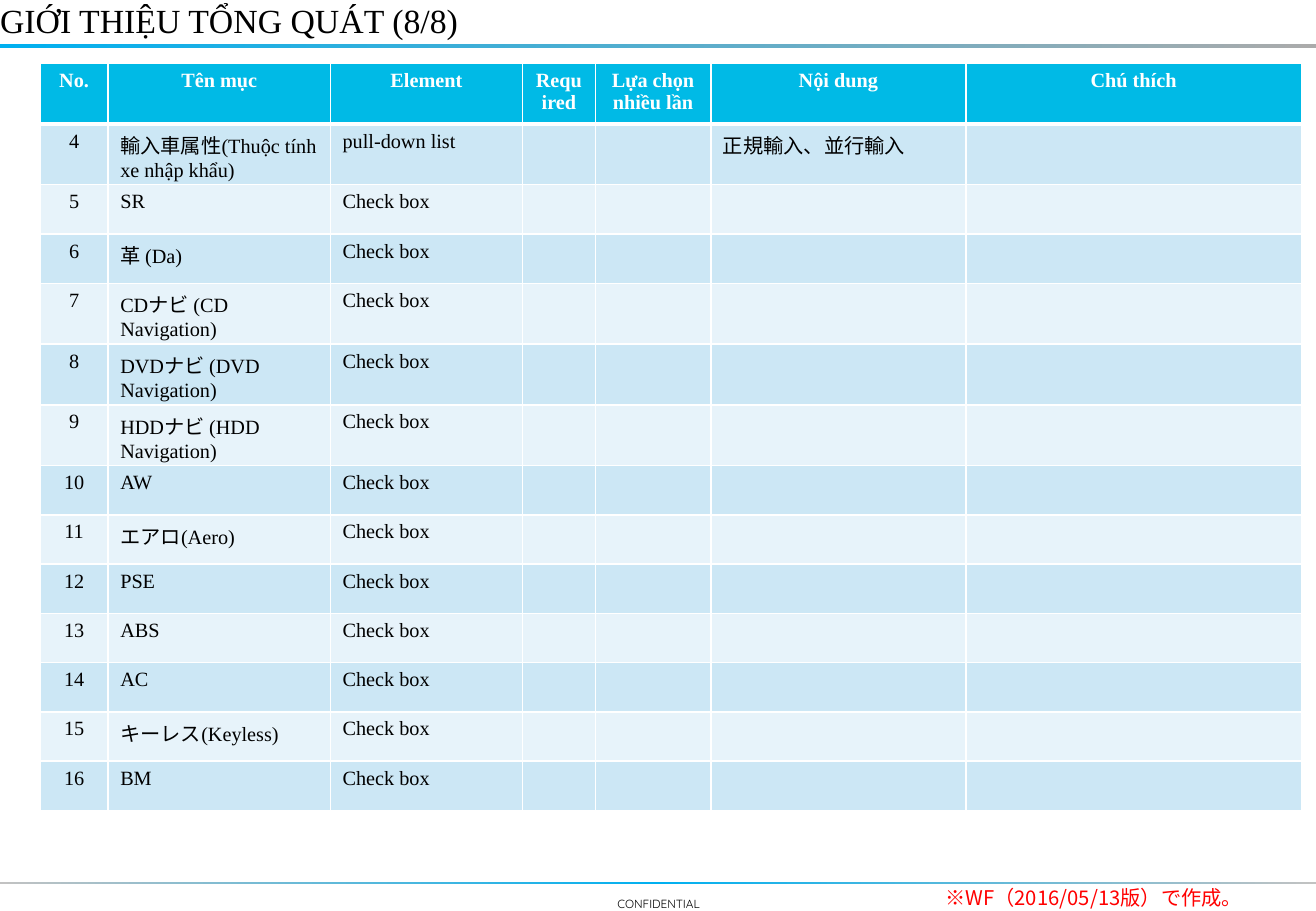
import copy
import pptx
import pptx.dml.color
import pptx.enum.shapes
import pptx.enum.text
import pptx.oxml
import pptx.oxml.ns
import pptx.util

COLUMNS, ROWS = 1083, 750
UNIT = pptx.util.Inches(0.01)
SERIF, SANS, ROUNDED = "Times New Roman", "Noto Sans CJK JP", "Quicksand"
ALIGN = pptx.enum.text.PP_ALIGN
ANCHOR = pptx.enum.text.MSO_ANCHOR

HEADINGS = ["No.", "Tên mục", "Element", "Required", "Lựa chọn nhiều lần", "Nội dung", "Chú thích"]
COLUMN_WIDTHS = [56, 183, 158, 60, 95, 210, 276]
ROW_HEIGHT = pptx.util.Pt(29.2)
FIRST_NUMBER = 4
ITEMS = [
    "輸入車属性(Thuộc tính xe nhập khẩu)", "SR", "革 (Da)", "CDナビ (CD Navigation)",
    "DVDナビ (DVD Navigation)", "HDDナビ (HDD Navigation)", "AW", "エアロ(Aero)",
    "PSE", "ABS", "AC", "キーレス(Keyless)", "BM",
]
IMPORT_ELEMENT, IMPORT_CONTENT = "pull-down list", "正規輸入、並行輸入"


def color(value):
    return pptx.dml.color.RGBColor.from_string(value)


def scale(box):
    return [int(length * UNIT) for length in box]


def format_text(frame, size, font, ink, bold=False, align=ALIGN.LEFT):
    for para in frame.paragraphs:
        para.alignment = align
        for span in para.runs:
            span.font.size = pptx.util.Pt(size)
            span.font.bold = bold
            span.font.color.rgb = color(ink)
            span.font.name = font
            east_asian = pptx.oxml.parse_xml(
                f'<a:ea {pptx.oxml.ns.nsdecls("a")} typeface="{SANS}"/>')
            span.font._element.append(east_asian)


def add_text(page, box, text, size, font, ink, align=ALIGN.LEFT, anchor=ANCHOR.TOP):
    frame = page.shapes.add_textbox(*scale(box)).text_frame
    frame.word_wrap = True
    frame.vertical_anchor = anchor
    frame.margin_left = frame.margin_right = frame.margin_top = frame.margin_bottom = 0
    frame.text = text
    format_text(frame, size, font, ink, align=align)
    return frame


def add_gradient_bar(page, box, inks):
    bar = page.shapes.add_shape(pptx.enum.shapes.MSO_SHAPE.RECTANGLE, *scale(box))
    bar.shadow.inherit = False
    bar.line.fill.background()
    bar.fill.gradient()
    bar.fill.gradient_angle = 0
    stop_list = bar._element.spPr.find(".//" + pptx.oxml.ns.qn("a:gsLst"))
    while len(stop_list) < len(inks):
        stop_list.append(copy.deepcopy(stop_list[0]))
    for index, (stop, ink) in enumerate(zip(bar.fill.gradient_stops, inks)):
        stop.position = index / (len(inks) - 1)
        stop.color.rgb = color(ink)


def set_borders(cell, top, bottom):
    properties = cell._tc.get_or_add_tcPr()
    for index, (side, points) in enumerate(zip("LRTB", (1, 1, top, bottom))):
        border = pptx.oxml.parse_xml(
            f'<a:ln{side} {pptx.oxml.ns.nsdecls("a")} w="{pptx.util.Pt(points)}">'
            f'<a:solidFill><a:srgbClr val="FFFFFF"/></a:solidFill></a:ln{side}>')
        properties.insert(index, border)


def add_header(page, box):
    left, top, width, height = box
    add_gradient_bar(page, (left, top + 36, width, 4), ["00B0F0", "ABABAB"])
    add_text(page, (left, top, 795, height), "GIỚI THIỆU TỔNG QUÁT (8/8)", 20, SERIF, "000000")


def add_item_table(page, box):
    records = [HEADINGS]
    for number, item in enumerate(ITEMS, FIRST_NUMBER):
        records.append([str(number), item, "Check box", "", "", "", ""])
    records[1][2], records[1][5] = IMPORT_ELEMENT, IMPORT_CONTENT
    table = page.shapes.add_table(len(records), len(HEADINGS), *scale(box)).table
    for column, width in zip(table.columns, COLUMN_WIDTHS):
        column.width = width * UNIT
    for row_index, record in enumerate(records):
        table.rows[row_index].height = ROW_HEIGHT
        is_heading = row_index == 0
        shade = "00BAE6" if is_heading else ("E7F3FA", "CCE7F5")[row_index % 2]
        ink = "FFFFFF" if is_heading else "000000"
        for column_index, text in enumerate(record):
            cell = table.cell(row_index, column_index)
            cell.fill.solid()
            cell.fill.fore_color.rgb = color(shade)
            set_borders(cell, 3 if row_index == 1 else 1, 3 if is_heading else 1)
            cell.text_frame.text = text
            centred = is_heading or column_index == 0
            format_text(cell.text_frame, 12, SERIF, ink, is_heading,
                        ALIGN.CENTER if centred else ALIGN.LEFT)


def add_footer(page, box):
    left, top, width, height = box
    add_gradient_bar(page, (left, top, width, 2), ["C2C2C2", "00B0F0", "C2C2C2"])
    add_text(page, (left + 448, top + 3, 188, height - 3), "CONFIDENTIAL", 7, ROUNDED,
             "000000", ALIGN.CENTER, ANCHOR.BOTTOM)
    add_text(page, (left + 778, top + 3, 294, height - 3), "※WF（2016/05/13版）で作成。",
             12, SANS, "FF0000")


deck = pptx.Presentation()
deck.slide_width, deck.slide_height = COLUMNS * UNIT, ROWS * UNIT
page = deck.slides.add_slide(deck.slide_layouts[6])
add_header(page, (0, 0, COLUMNS, 49))
add_item_table(page, (33, 52, sum(COLUMN_WIDTHS), 615))
add_footer(page, (0, 726, COLUMNS, 24))
deck.save("out.pptx")
